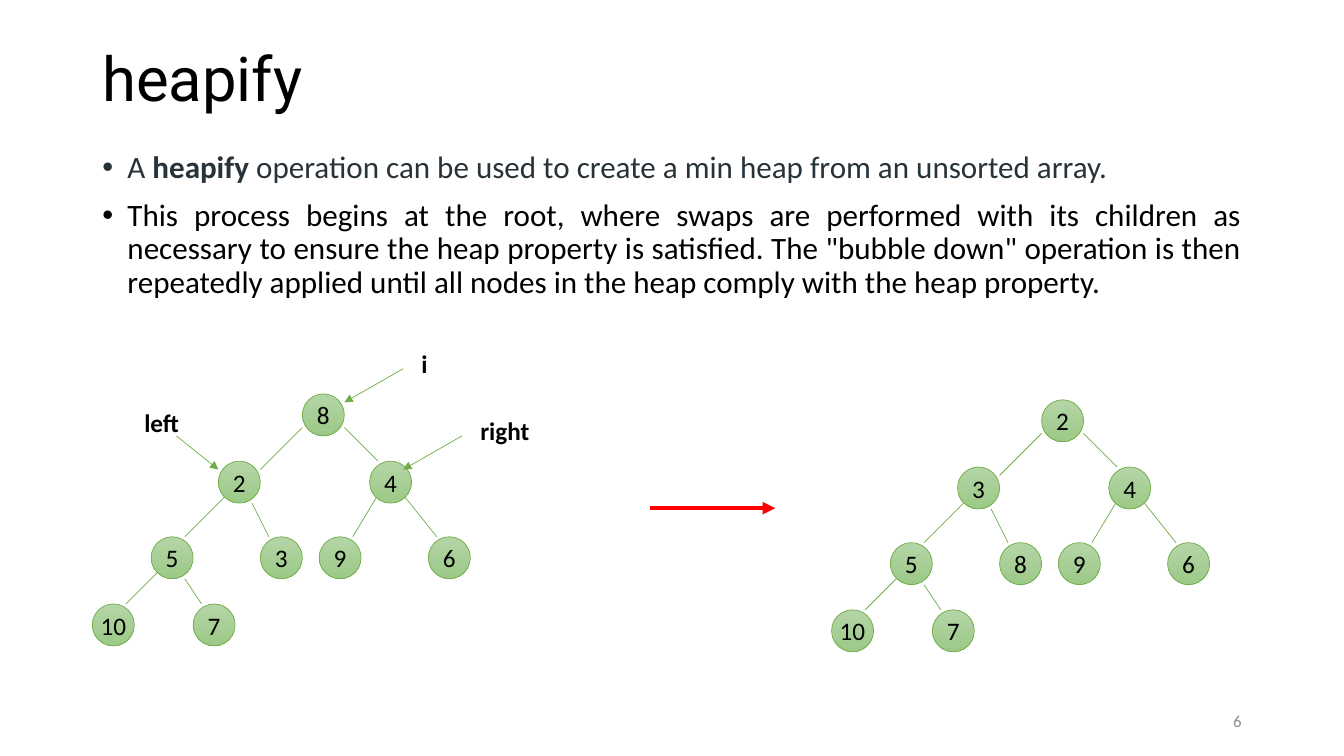
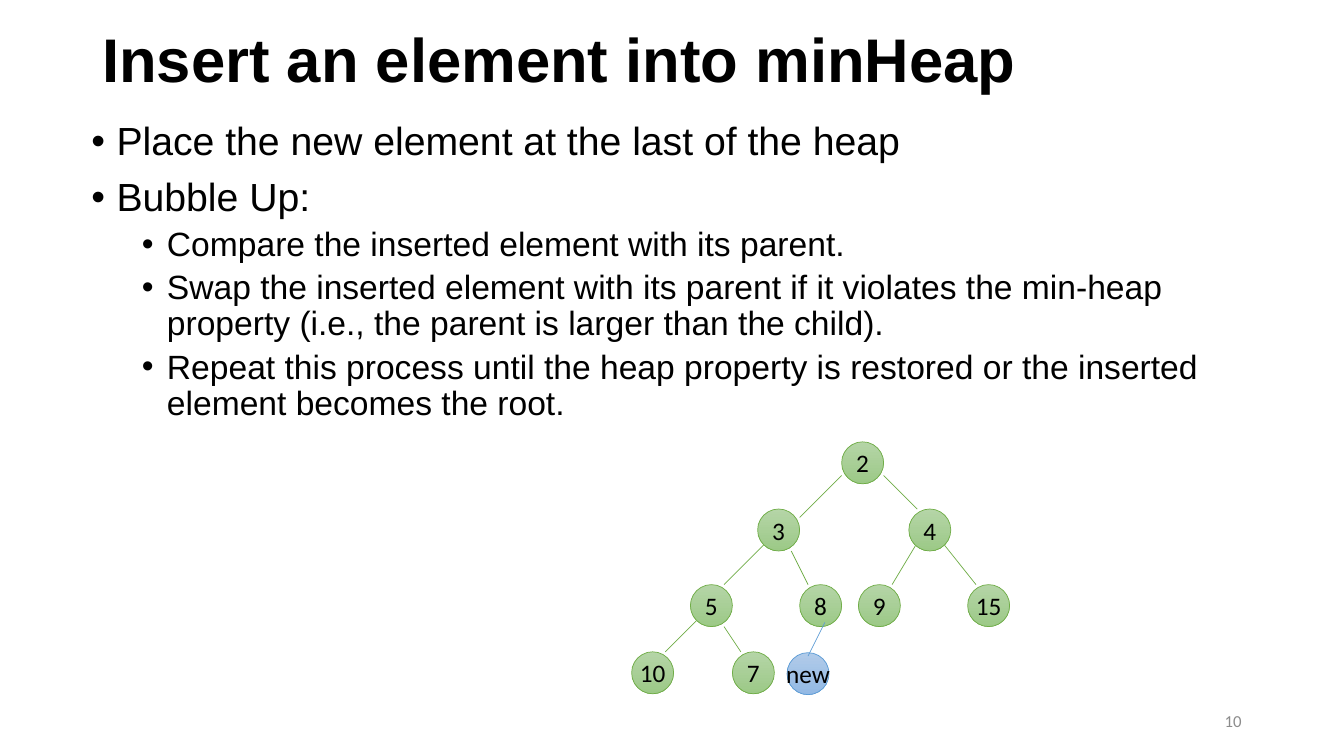
from dataclasses import dataclass

from lxml.etree import SubElement
from pptx import Presentation
from pptx.dml.color import RGBColor
from pptx.enum.shapes import MSO_CONNECTOR as Connector, MSO_SHAPE as Shape
from pptx.enum.text import MSO_ANCHOR as Anchor, PP_ALIGN as Align
from pptx.oxml.ns import qn
from pptx.util import Emu, Inches, Pt

COLUMNS, ROWS = 160, 90
CELL = Inches(1) // 12


@dataclass(frozen=True)
class Theme:
    black: str = "000000"
    slate: str = "273239"
    gray: str = "8C8C8C"
    red: str = "FF0000"
    green: tuple = ("B5D5A7", "9CC987", "70AD47")
    blue: tuple = ("B1CBE9", "93B9E4", "5B9BD5")
    body_font: str = "Calibri"
    plain_font: str = "Arial"
    title_font: str = "Roboto"
    title_size: float = 44
    intro_size: float = 22.2
    step_sizes: tuple = (28, 24)
    node_size: float = 18
    page_size: float = 12
    thin: float = 0.5
    thick: float = 3


THEME = Theme()
NODE_SPAN = 5
NODE_SPOTS = [(25, 0), (15, 8), (33, 8), (7, 17), (20, 17),
              (27, 17), (40, 17), (0, 25), (12, 25)]
EDGES = [((25, 4), (20, 9)), ((30, 4), (34, 8)),
         ((16, 12), (11, 17)), ((19, 13), (21, 17)),
         ((34, 12), (31, 17)), ((37, 12), (41, 17)),
         ((9, 20), (4, 25)), ((11, 22), (13, 25))]
POINTERS = [("i", (38, -6), (37, -3), (30, 1)),
            ("right", (45, 2), (44, 5), (37, 9)),
            ("left", (5, 1), (10, 5), (15, 9))]


def cells(*counts):
    return [Emu(round(count * CELL)) for count in counts]


def shift(origin, spot):
    return origin[0] + spot[0], origin[1] + spot[1]


def style(paragraph, size, font=THEME.body_font, color=THEME.black, bold=None):
    for run in paragraph.runs:
        run.font.size = Pt(size)
        run.font.name = font
        run.font.color.rgb = RGBColor.from_string(color)
        if bold is not None:
            run.font.bold = bold


def add_text(shapes, box, text, size, anchor=Anchor.TOP, align=Align.LEFT, **look):
    frame = shapes.add_textbox(*cells(*box)).text_frame
    frame.word_wrap = True
    frame.vertical_anchor = anchor
    frame.text = text
    paragraph = frame.paragraphs[0]
    paragraph.alignment = align
    style(paragraph, size, **look)
    return paragraph


def add_line(shapes, start, end, color, width=THEME.thin, arrow=False):
    line = shapes.add_connector(Connector.STRAIGHT, *cells(*start, *end))
    line.line.color.rgb = RGBColor.from_string(color)
    line.line.width = Pt(width)
    if arrow:
        SubElement(line.line._get_or_add_ln(), qn("a:tailEnd"), type="triangle")
    SubElement(line._element.spPr, qn("a:effectLst"))


def add_node(shapes, spot, value, palette=THEME.green):
    top, bottom, border = palette
    node = shapes.add_shape(Shape.OVAL, *cells(*spot, NODE_SPAN, NODE_SPAN))
    node.shadow.inherit = False
    node.fill.gradient()
    node.fill.gradient_angle = 270
    for stop, color in zip(node.fill.gradient_stops, (top, bottom)):
        stop.color.rgb = RGBColor.from_string(color)
    node.line.color.rgb = RGBColor.from_string(border)
    node.line.width = Pt(THEME.thin)
    frame = node.text_frame
    frame.word_wrap = False
    frame.vertical_anchor = Anchor.MIDDLE
    frame.text = value
    frame.paragraphs[0].alignment = Align.CENTER
    style(frame.paragraphs[0], THEME.node_size)


def add_tree(slide, origin, values):
    shapes = slide.shapes.add_group_shape().shapes
    for start, end in EDGES:
        add_line(shapes, shift(origin, start), shift(origin, end), THEME.green[-1])
    for spot, value in zip(NODE_SPOTS, values.split()):
        add_node(shapes, shift(origin, spot), value)
    return shapes


def add_pointers(shapes, origin):
    for label, spot, start, end in POINTERS:
        add_line(shapes, shift(origin, start), shift(origin, end),
                 THEME.green[-1], arrow=True)
        add_text(shapes, (*shift(origin, spot), 9.4, 4.8), label,
                 THEME.node_size, bold=True)


def add_new_node(shapes, origin):
    add_node(shapes, shift(origin, (18.5, 25.1)), "new", THEME.blue)
    add_line(shapes, shift(origin, (23, 21.5)), shift(origin, (21, 25.5)),
             THEME.blue[-1])


def make_bullet(paragraph, level=0, first=False):
    properties = paragraph._p.get_or_add_pPr()
    properties.set("marL", str(Inches(0.25 + 0.5 * level)))
    properties.set("indent", str(-Inches(0.25)))
    SubElement(properties, qn("a:buFont"), typeface="Arial")
    SubElement(properties, qn("a:buChar"), char="•")
    paragraph.level = level
    paragraph.line_spacing = 0.9
    paragraph.space_before = Pt(0 if first else 5 if level else 10)


def add_bullets(slide, box, items):
    frame = slide.shapes.add_textbox(*cells(*box)).text_frame
    frame.word_wrap = True
    for index, (level, parts) in enumerate(items):
        paragraph = frame.paragraphs[0] if index == 0 else frame.add_paragraph()
        make_bullet(paragraph, level, index == 0)
        for part in parts:
            paragraph.add_run().text = part
    return frame.paragraphs


def start_slide(deck, title, title_row, page, **look):
    slide = deck.slides.add_slide(deck.slide_layouts[6])
    heading = add_text(slide.shapes, (11, title_row, 138, 9.9), title,
                       THEME.title_size, Anchor.MIDDLE, **look)
    heading.line_spacing = 0.9
    add_text(slide.shapes, (113, 83.4, 36, 4.8), page, THEME.page_size,
             Anchor.MIDDLE, Align.RIGHT, color=THEME.gray)
    return slide


def heapify_slide(deck):
    slide = start_slide(deck, "heapify", 4.8, "6", font=THEME.title_font)
    purpose, process = add_bullets(slide, (11, 17.5, 138, 20.6), [
        (0, ["A ", "heapify",
             " operation can be used to create a min heap from an unsorted array."]),
        (0, ["This process begins at the root, where swaps are performed with its "
             "children as necessary to ensure the heap property is satisfied. The "
             '"bubble down" operation is then repeatedly applied until all nodes in '
             "the heap comply with the heap property."]),
    ])
    for paragraph, color in ((purpose, THEME.slate), (process, THEME.black)):
        paragraph.alignment = Align.JUSTIFY
        style(paragraph, THEME.intro_size, color=color)
    purpose.runs[1].font.bold = True

    before = (11, 46.9)
    add_pointers(add_tree(slide, before, "8 2 4 5 3 9 6 10 7"), before)
    add_line(slide.shapes, (77.4, 60.5), (92.3, 60.5), THEME.red, THEME.thick, True)
    add_tree(slide, (99, 47.6), "2 3 4 5 8 9 6 10 7")


def insert_slide(deck):
    slide = start_slide(deck, "Insert an element into minHeap", 2.5, "10",
                        font=THEME.plain_font, bold=True)
    steps = add_bullets(slide, (9.7, 13.9, 138, 57.1), [
        (0, ["Place the new element at the last of the heap"]),
        (0, ["Bubble Up:"]),
        (1, ["Compare the inserted element with its parent."]),
        (1, ["Swap the inserted element with its parent if it violates the min-heap "
             "property (i.e., the parent is larger than the child)."]),
        (1, ["Repeat this process until the heap property is restored or the "
             "inserted element becomes the root."]),
    ])
    for step in steps:
        style(step, THEME.step_sizes[step.level], THEME.plain_font)

    heap = (75.2, 52.6)
    add_new_node(add_tree(slide, heap, "2 3 4 5 8 9 15 10 7"), heap)


def main():
    deck = Presentation()
    deck.slide_width, deck.slide_height = cells(COLUMNS, ROWS)
    heapify_slide(deck)
    insert_slide(deck)
    deck.save("out.pptx")


if __name__ == "__main__":
    main()
